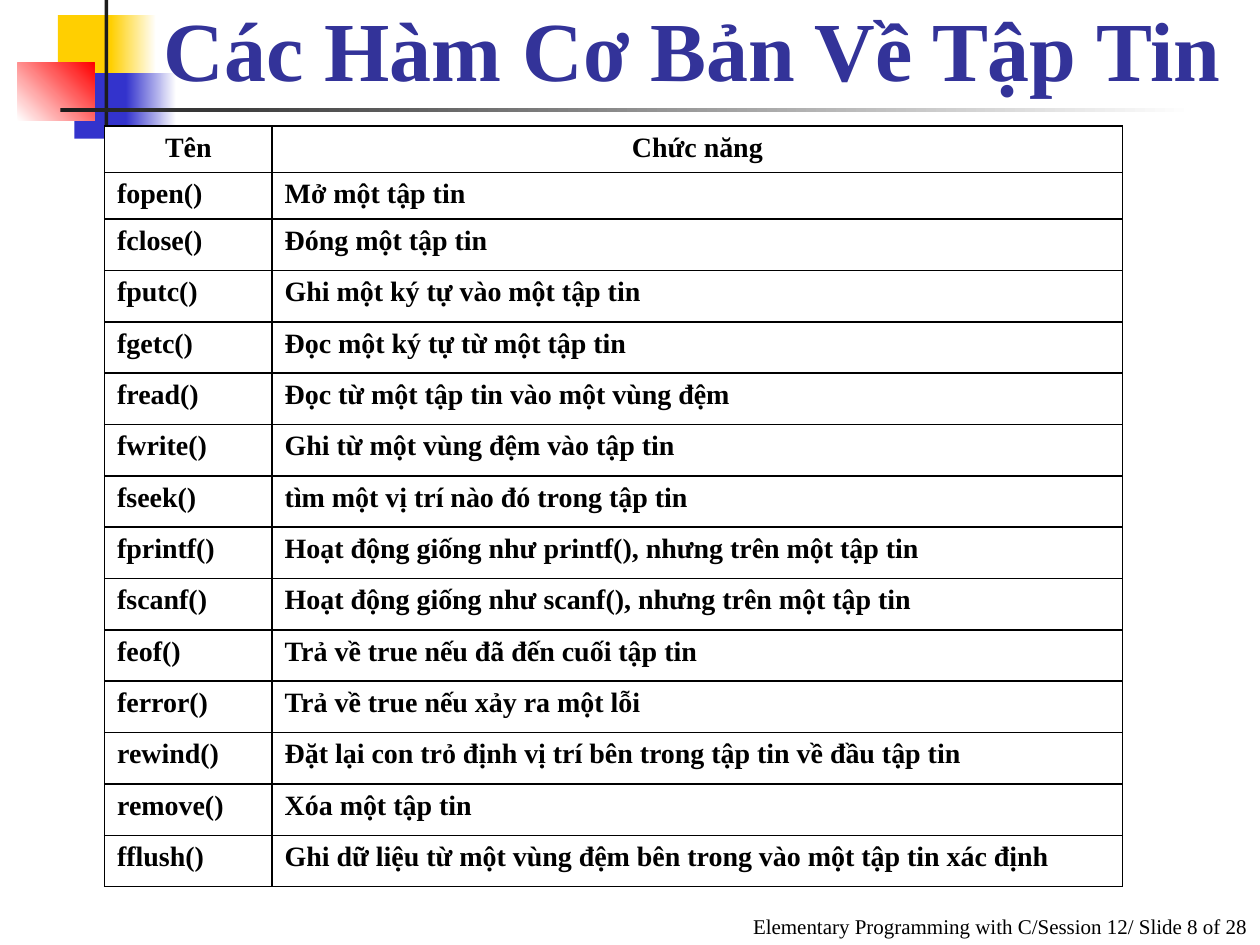
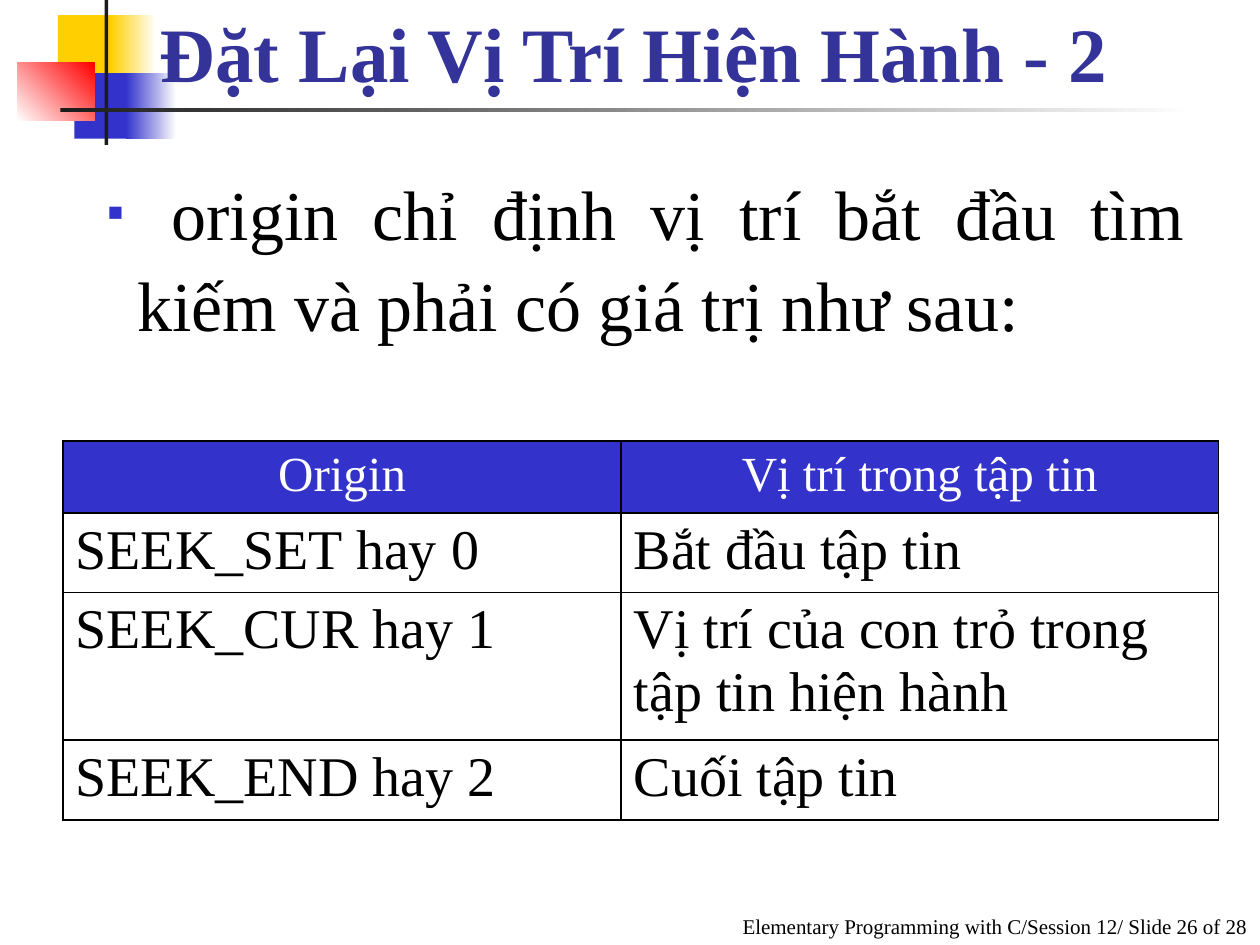
import pptx
import pptx.dml.color
import pptx.enum.shapes
import pptx.enum.text
import pptx.oxml
import pptx.oxml.ns
import pptx.util
from pptx.util import Inches

COLORS = {
    "white": "FFFFFF", "black": "000000", "ink": "1C1C1C", "title": "333399",
    "blue": "3333CC", "yellow": "FFCF01", "red": "FF0000",
}
FONT = "Times New Roman"
ALIGN = pptx.enum.text.PP_ALIGN
ANCHOR = pptx.enum.text.MSO_ANCHOR
SLIDE_COUNT = 28

# left, top, width, height, start colour, end colour (None is solid), angle
EMBLEM = [
    (0.46, 0.12, 0.48, 0.52, "yellow", None, 0),
    (0.88, 0.12, 0.36, 0.52, "yellow", "white", 0),
    (0.59, 0.58, 0.46, 0.52, "blue", None, 0),
    (1, 0.58, 0.4, 0.52, "blue", "white", 0),
    (0.14, 0.5, 0.61, 0.46, "white", "red", 45),
    (0.83, 0, 0.03, 1.15, "ink", None, 0),
    (0.48, 0.86, 9, 0.03, "ink", "white", 0),
]

FILE_FUNCTIONS = [
    ("Tên", "Chức năng"),
    ("fopen()", "Mở một tập tin"),
    ("fclose()", "Đóng một tập tin"),
    ("fputc()", "Ghi một ký tự vào một tập tin"),
    ("fgetc()", "Đọc một ký tự từ một tập tin"),
    ("fread()", "Đọc từ một tập tin vào một vùng đệm"),
    ("fwrite()", "Ghi từ một vùng đệm vào tập tin"),
    ("fseek()", "tìm một vị trí nào đó trong tập tin"),
    ("fprintf()", "Hoạt động giống như printf(), nhưng trên một tập tin"),
    ("fscanf()", "Hoạt động giống như scanf(), nhưng trên một tập tin"),
    ("feof()", "Trả về true nếu đã đến cuối tập tin"),
    ("ferror()", "Trả về true nếu xảy ra một lỗi"),
    ("rewind()", "Đặt lại con trỏ định vị trí bên trong tập tin về đầu tập tin"),
    ("remove()", "Xóa một tập tin"),
    ("fflush()", "Ghi dữ liệu từ một vùng đệm bên trong vào một tập tin xác định"),
]
SEEK_ORIGINS = [
    ("Origin", "Vị trí trong tập tin"),
    ("SEEK_SET hay 0", "Bắt đầu tập tin"),
    ("SEEK_CUR hay 1", "Vị trí của con trỏ trong tập tin hiện hành"),
    ("SEEK_END hay 2", "Cuối tập tin"),
]


def rgb(name):
    """Return the named colour of the palette."""
    return pptx.dml.color.RGBColor.from_string(COLORS[name])


def style(paragraph, size, color="black", bold=False, align=ALIGN.LEFT):
    """Set the font and alignment of a paragraph."""
    paragraph.alignment = align
    paragraph.font.name = FONT
    paragraph.font.size = pptx.util.Pt(size)
    paragraph.font.bold = bold
    paragraph.font.color.rgb = rgb(color)


def add_text(slide, box, text, anchor, size, **look):
    """Place one wrapped paragraph in the box and return it."""
    frame = slide.shapes.add_textbox(*map(Inches, box)).text_frame
    frame.word_wrap = True
    frame.vertical_anchor = anchor
    paragraph = frame.paragraphs[0]
    paragraph.text = text
    style(paragraph, size, **look)
    return paragraph


def add_emblem(slide, box):
    """Draw the coloured squares and crossing bars from the box's corner."""
    for left, top, width, height, start, end, angle in EMBLEM:
        block = slide.shapes.add_shape(
            pptx.enum.shapes.MSO_SHAPE.RECTANGLE, Inches(box[0] + left),
            Inches(box[1] + top), Inches(width), Inches(height))
        block.shadow.inherit = False
        block.line.fill.background()
        if end is None:
            block.fill.solid()
            block.fill.fore_color.rgb = rgb(start)
            continue
        block.fill.gradient()
        block.fill.gradient_angle = angle
        for stop, color, position in zip(block.fill.gradient_stops, (start, end), (0, 1)):
            stop.color.rgb = rgb(color)
            stop.position = position


def add_frame(deck, number, title, title_box, title_size):
    """Start a slide with its emblem, footer and title."""
    slide = deck.slides.add_slide(deck.slide_layouts[6])
    add_emblem(slide, (0, 0))
    add_text(slide, (3.92, 7, 6.08, 0.5),
             f"Elementary Programming with C/Session 12/ Slide {number} of {SLIDE_COUNT}",
             ANCHOR.BOTTOM, 12, align=ALIGN.RIGHT)
    add_text(slide, title_box, title, ANCHOR.BOTTOM, title_size, color="title", bold=True)
    return slide


def add_bullet(paragraph, indent):
    """Give the paragraph a hanging square bullet."""
    properties = paragraph._p.get_or_add_pPr()
    properties.set("marL", str(Inches(indent)))
    properties.set("indent", str(-Inches(indent)))
    for tag, name, value in (("buClr", None, None), ("buSzPct", "val", "70000"),
                             ("buFont", "typeface", FONT), ("buChar", "char", "▪")):
        part = pptx.oxml.ns.qn(f"a:{tag}")
        element = properties.makeelement(part, {name: value} if name else {})
        if tag == "buClr":
            element.append(element.makeelement(
                pptx.oxml.ns.qn("a:srgbClr"), {"val": COLORS["blue"]}))
        # bullet parts precede the default run properties
        defaults = properties.find(pptx.oxml.ns.qn("a:defRPr"))
        if defaults is None:
            properties.append(element)
        else:
            defaults.addprevious(element)


def add_borders(cell):
    """Draw a thin black line on all four sides of the cell."""
    properties = cell._tc.get_or_add_tcPr()
    for index, side in enumerate("LRTB"):
        properties.insert(index, pptx.oxml.parse_xml(
            f'<a:ln{side} {pptx.oxml.ns.nsdecls("a")} w="12700"><a:solidFill>'
            f'<a:srgbClr val="{COLORS["black"]}"/></a:solidFill></a:ln{side}>'))


def add_grid(slide, box, rows, widths, heights, head, body, head_fill, body_fill):
    """Fill the box with a bordered table that has a centred head row."""
    grid = slide.shapes.add_table(len(rows), len(widths), *map(Inches, box)).table
    grid.first_row = grid.horz_banding = False
    for column, width in zip(grid.columns, widths):
        column.width = Inches(width)
    for index, (row, height, texts) in enumerate(zip(grid.rows, heights, rows)):
        row.height = Inches(height)
        look, fill = (body, body_fill) if index else (head, head_fill)
        for cell, text in zip(row.cells, texts):
            cell.text = text
            style(cell.text_frame.paragraphs[0], **look)
            if fill:
                cell.fill.solid()
                cell.fill.fore_color.rgb = rgb(fill)
            else:
                cell.fill.background()
            add_borders(cell)


def add_functions_slide(deck):
    """Build the slide that lists the basic file functions."""
    slide = add_frame(deck, 8, "Các Hàm Cơ Bản Về Tập Tin", (1.2, 0, 8.8, 0.83), 48)
    width, height, name_width, short_row = 8.08, 6.04, 1.33, 0.37
    tall_rows = len(FILE_FUNCTIONS) - 2
    heights = [short_row] * 2 + [(height - 2 * short_row) / tall_rows] * tall_rows
    add_grid(slide, (0.83, 1, width, height), FILE_FUNCTIONS,
             (name_width, width - name_width), heights,
             dict(size=16, bold=True, align=ALIGN.CENTER),
             dict(size=16, bold=True, align=ALIGN.JUSTIFY), "white", "white")


def add_origins_slide(deck):
    """Build the slide that explains the seek origins."""
    slide = add_frame(deck, 26, "Đặt Lại Vị Trí Hiện Hành - 2", (1.17, 0, 8.04, 0.83), 44)
    rule = add_text(slide, (0.75, 1.25, 8.75, 1.43),
                    " origin chỉ định vị trí bắt đầu tìm kiếm và phải có giá trị như sau:",
                    ANCHOR.TOP, 40, align=ALIGN.JUSTIFY)
    rule.line_spacing = 1.08
    add_bullet(rule, 0.24)
    add_grid(slide, (0.5, 3.5, 9.17, 3), SEEK_ORIGINS, (4.43, 4.74),
             (0.57, 0.63, 1.17, 0.63),
             dict(size=28, color="white", align=ALIGN.CENTER), dict(size=32),
             "blue", None)


deck = pptx.Presentation()
deck.slide_width, deck.slide_height = Inches(10), Inches(7.5)
add_functions_slide(deck)
add_origins_slide(deck)
deck.save("out.pptx")
